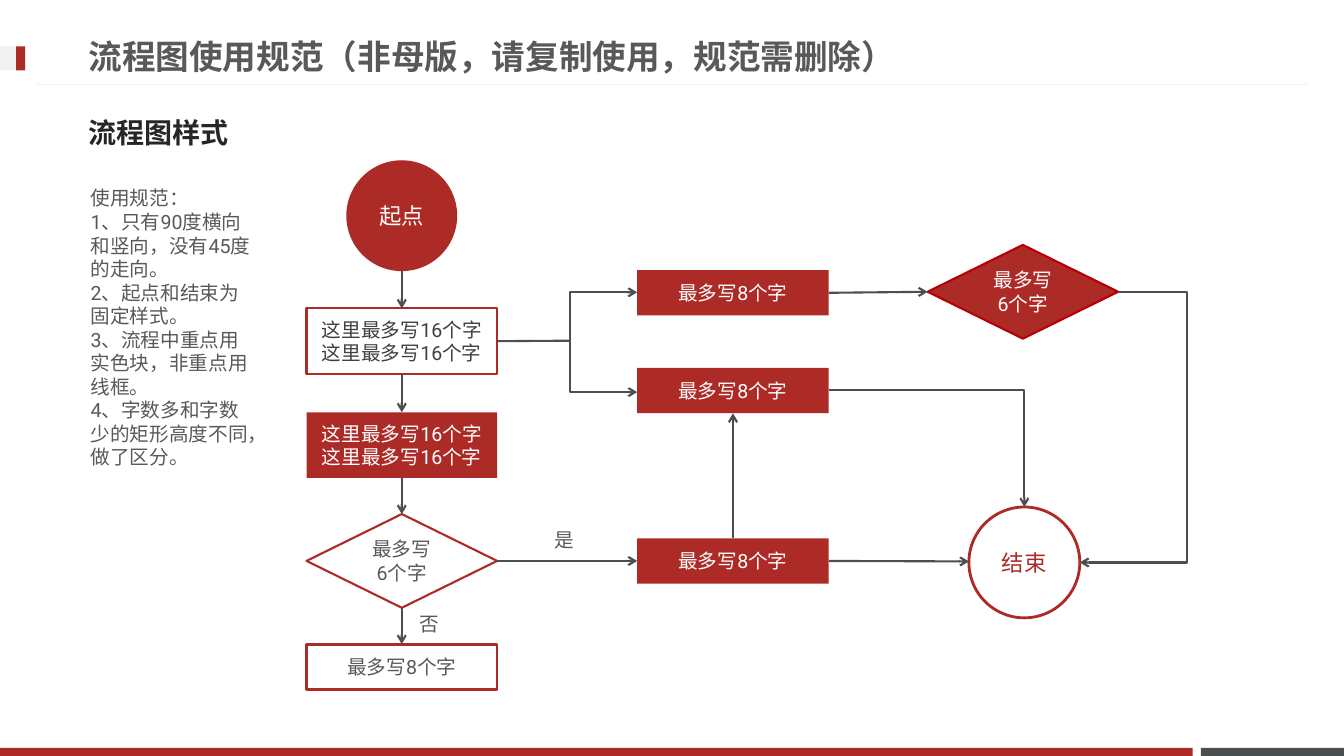
import pptx
import pptx.util
from pptx.dml.color import RGBColor
from pptx.enum.shapes import MSO_CONNECTOR, MSO_SHAPE
from pptx.enum.text import MSO_ANCHOR, PP_ALIGN
from pptx.oxml.ns import qn
from pptx.util import Inches
from lxml import etree

FONT = "Roboto"
COLORS = {"red": "AD2B26", "edge": "B70006", "slate": "49504F", "white": "FFFFFF",
          "pale": "F2F2F2", "gray": "595959", "dark": "404040", "ink": "262626"}
TOP, LEFT, BOTTOM, RIGHT = range(4)


def color(name):
    return RGBColor.from_string(COLORS[name])


def write(tf, text, size, ink, bold=False, align=PP_ALIGN.LEFT):
    """Fill a text frame, one paragraph per line of text."""
    for i, line in enumerate(text.split("\n")):
        p = tf.add_paragraph() if i else tf.paragraphs[0]
        r = p.add_run()
        r.text = line
        p.alignment = align
        p.font.name, p.font.size, p.font.bold = FONT, pptx.util.Pt(size), bold
        p.font.color.rgb = color(ink)


def add_text(s, box, text, size, ink, bold=False, wrap=True, anchor=MSO_ANCHOR.TOP):
    tf = s.shapes.add_textbox(*map(Inches, box)).text_frame
    tf.word_wrap = wrap
    tf.vertical_anchor = anchor
    write(tf, text, size, ink, bold)


def add_shape(s, kind, box, fill=None, line=None, width=1.5):
    sp = s.shapes.add_shape(kind, *map(Inches, box))
    sp.shadow.inherit = False
    if fill:
        sp.fill.solid()
        sp.fill.fore_color.rgb = color(fill)
    else:
        sp.fill.background()
    if line:
        sp.line.color.rgb = color(line)
        sp.line.width = pptx.util.Pt(width)
    else:
        sp.line.fill.background()
    return sp


def add_node(s, kind, box, text, ink="white", size=14, **style):
    sp = add_shape(s, kind, box, **style)
    tf = sp.text_frame
    tf.word_wrap = True
    tf.vertical_anchor = MSO_ANCHOR.MIDDLE
    write(tf, text, size, ink, align=PP_ALIGN.CENTER)
    return sp


def style_line(sp, ink="slate", width=1.5, heads=()):
    sp.line.color.rgb = color(ink)
    sp.line.width = pptx.util.Pt(width)
    for end in heads:
        etree.SubElement(sp.line._get_or_add_ln(), qn("a:" + end), type="arrow")


def add_line(s, start, end, kind=MSO_CONNECTOR.STRAIGHT, heads=("tailEnd",), **style):
    """Connect two ends, each a point or a (shape, side) pair."""
    ends = [(0, 0) if hasattr(e[0], "shape_id") else e for e in (start, end)]
    cxn = s.shapes.add_connector(kind, *(Inches(v) for e in ends for v in e))
    if hasattr(start[0], "shape_id"):
        cxn.begin_connect(*start)
    if hasattr(end[0], "shape_id"):
        cxn.end_connect(*end)
    style_line(cxn, heads=heads, **style)
    etree.SubElement(cxn._element.spPr, qn("a:effectLst"))
    return cxn


def set_elbow(cxn, preset, adjust=None):
    geom = cxn._element.spPr.find(qn("a:prstGeom"))
    geom.set("prst", preset)
    if adjust is not None:
        guides = geom.find(qn("a:avLst"))
        etree.SubElement(guides, qn("a:gd"), name="adj1", fmla=f"val {adjust}")


def add_frame(s, width, height):
    """Bottom bars, header rule and the marker beside the title."""
    bar, split, gap = 0.08, 11.83, 0.08
    rect = MSO_SHAPE.RECTANGLE
    add_shape(s, rect, (split + gap, height - bar, width - split - gap, bar), "slate")
    add_shape(s, rect, (0, height - bar, split, bar), "red")
    add_line(s, (0.35, 0.84), (width - 0.35, 0.84), heads=(), ink="pale", width=0.75)
    add_shape(s, rect, (0, 0.46, 0.25, 0.24), "pale")
    add_shape(s, rect, (0.16, 0.46, 0.09, 0.24), "red")


def add_texts(s, x):
    middle = MSO_ANCHOR.MIDDLE
    add_text(s, (x, 0.27, 9.59, 0.57), "流程图使用规范（非母版，请复制使用，规范需删除）",
             24, "gray", bold=True, anchor=middle)
    add_text(s, (x, 1.03, 11.76, 0.57), "流程图样式", 20, "ink", bold=True, anchor=middle)
    rules = ("使用规范：", "1、只有90度横向和竖向，没有45度的走向。", "2、起点和结束为固定样式。",
             "3、流程中重点用实色块，非重点用线框。", "4、字数多和字数少的矩形高度不同，做了区分。")
    add_text(s, (x + 0.02, 1.8, 1.86, 3.16), "\n".join(rules), 14, "gray")


def add_flow(s, x, y):
    """Flow chart whose first column starts at x and whose start circle tops at y."""
    rect, diamond, oval = MSO_SHAPE.RECTANGLE, MSO_SHAPE.FLOWCHART_DECISION, MSO_SHAPE.OVAL
    w, tall, low, rhombus, circle = 1.89, 0.65, 0.45, 0.93, 1.1
    mid = x + w / 2
    x2, x3 = x + 3.28, x + 6.16
    long_text, short_text, choice = "这里最多写16个字这里最多写16个字", "最多写8个字", "最多写\n6个字"

    add_node(s, oval, (mid - circle / 2, y, circle, circle), "起点", size=16, fill="red")
    outline = add_node(s, rect, (x, y + 1.47, w, tall), long_text, "dark", line="red")
    solid = add_node(s, rect, (x, y + 2.5, w, tall), long_text, fill="red")
    decision = add_node(s, diamond, (x, y + 3.51, w, rhombus), choice, "gray", line="red")
    last = add_node(s, rect, (x, y + 4.8, w, low), short_text, "gray",
                    fill="white", line="red", width=2)
    upper, centre, lower = [
        add_node(s, rect, (x2, y + dy, 1.9, low), short_text, fill="red")
        for dy in (1.09, 2.06, 3.75)]
    check = add_node(s, diamond, (x3, y + 0.84, w, rhombus), choice, fill="red", line="edge")
    end_x, end_y = x + 6.57, y + 3.44
    add_node(s, oval, (end_x, end_y, circle, circle), "结束", "red", 16,
             fill="white", line="red", width=2)

    add_line(s, (mid, y + circle), (outline, TOP))
    for above, below in ((outline, solid), (solid, decision), (decision, last)):
        add_line(s, (above, BOTTOM), (below, TOP))
    add_line(s, (decision, RIGHT), (lower, LEFT))
    add_line(s, (upper, RIGHT), (check, LEFT))
    add_line(s, (lower, TOP), (centre, BOTTOM))
    add_line(s, (lower, RIGHT), (end_x, y + 3.98))

    fork = x + 2.61
    add_line(s, (outline, RIGHT), (fork, y + 1.79), heads=())
    corners = [(x2, y + 2.3), (fork, y + 2.3), (fork, y + 1.31), (x2, y + 1.31)]
    points = [(Inches(px), Inches(py)) for px, py in corners]
    builder = s.shapes.build_freeform(*points[0])
    builder.add_line_segments(points[1:], close=False)
    bracket = builder.convert_to_shape()
    bracket.shadow.inherit = False
    bracket.fill.background()
    style_line(bracket, heads=("headEnd", "tailEnd"))

    elbow = MSO_CONNECTOR.ELBOW
    down = add_line(s, (x2 + 1.9, y + 2.28), (end_x + circle / 2, end_y), elbow)
    set_elbow(down, "bentConnector2")
    back = add_line(s, (x3 + w, y + 1.31), (end_x + circle, y + 3.99), elbow)
    set_elbow(back, "bentConnector3", -180800)

    add_text(s, (x + 2.36, y + 3.6, 0.39, 0.34), "是", 14, "gray", wrap=False)
    add_text(s, (x + 1.02, y + 4.43, 0.39, 0.34), "否", 14, "gray", wrap=False)


def main():
    width, height = 13.33, 7.5
    prs = pptx.Presentation()
    prs.slide_width, prs.slide_height = Inches(width), Inches(height)
    s = prs.slides.add_slide(prs.slide_layouts[6])
    add_frame(s, width, height)
    add_texts(s, 0.78)
    add_flow(s, 3.04, 1.59)
    prs.save("out.pptx")


if __name__ == "__main__":
    main()
